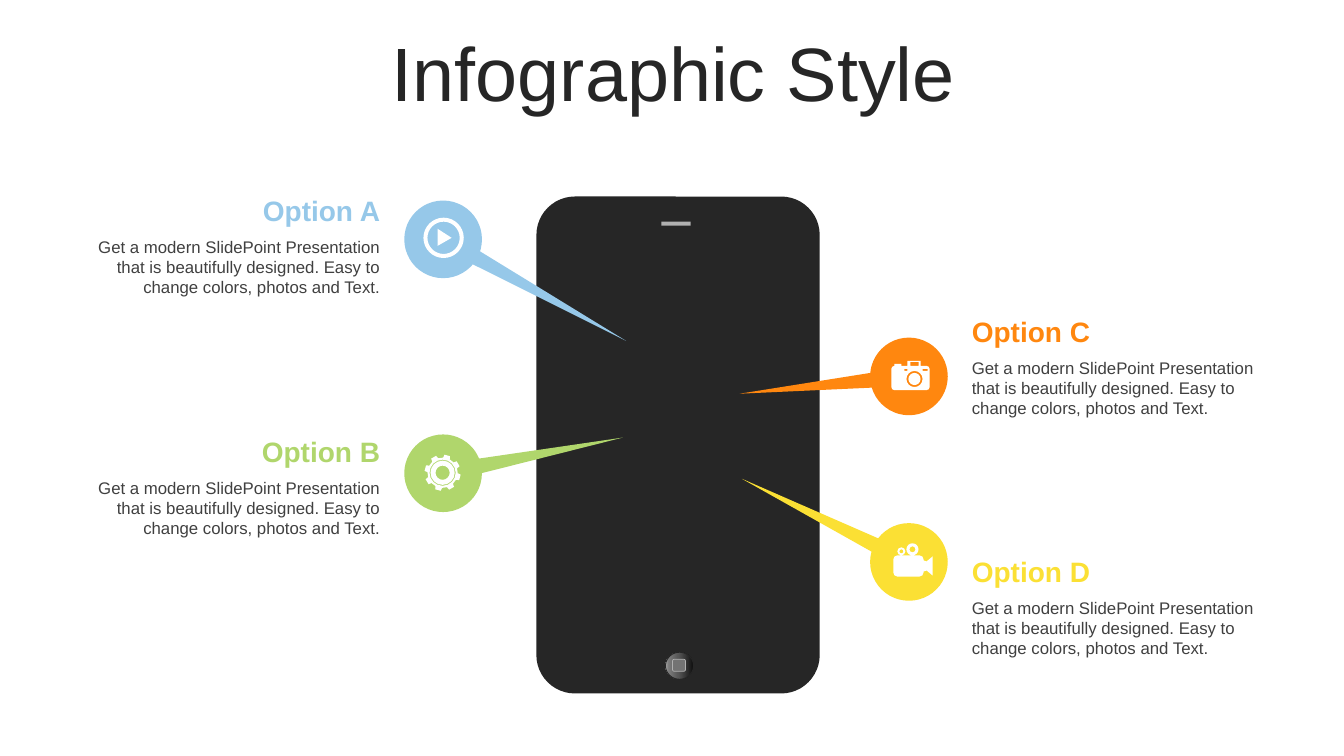
from math import cos, radians, sin

from lxml.etree import SubElement
from pptx import Presentation
from pptx.dml.color import RGBColor
from pptx.enum.shapes import MSO_SHAPE
from pptx.enum.text import MSO_ANCHOR, MSO_AUTO_SIZE, PP_ALIGN
from pptx.oxml.ns import qn
from pptx.util import Inches, Pt

WHITE = RGBColor(0xFF, 0xFF, 0xFF)
DARK = RGBColor(0x26, 0x26, 0x26)
BODY_GRAY = RGBColor(0x40, 0x40, 0x40)
SILVER = RGBColor(0xB0, 0xB0, 0xB0)
BUTTON_GRAY = RGBColor(0x73, 0x73, 0x73)
BLUE = RGBColor(0x96, 0xC8, 0xE9)
GREEN = RGBColor(0xB0, 0xD6, 0x6C)
ORANGE = RGBColor(0xFF, 0x87, 0x0F)
YELLOW = RGBColor(0xFB, 0xE0, 0x34)
KAPPA = 0.55


# Outlines for the icons, in inches from the icon's top left corner.
# An outline is a list of segments: one point for a line, three for a curve.
def polygon(*points):
    return [[point] for point in points]


def quarter(x, y, radius, dx, dy):
    """Curve clockwise from direction (dx, dy) to direction (-dy, dx)."""
    steps = [(1, KAPPA), (KAPPA, 1), (0, 1)]
    return [(x + radius * (a * dx - b * dy), y + radius * (a * dy + b * dx)) for a, b in steps]


def circle(x, y, radius):
    turns = [(1, 0), (0, 1), (-1, 0), (0, -1)]
    return [[(x + radius, y)]] + [quarter(x, y, radius, *turn) for turn in turns]


def box(x, y, width, height):
    return polygon((x, y), (x + width, y), (x + width, y + height), (x, y + height))


def round_box(x, y, width, height, radius):
    left, right, top, bottom = x + radius, x + width - radius, y + radius, y + height - radius
    corners = [(right, bottom, 1, 0), (left, bottom, 0, 1), (left, top, -1, 0), (right, top, 0, -1)]
    outline = []
    for cx, cy, dx, dy in corners:
        outline += [[(cx + radius * dx, cy + radius * dy)], quarter(cx, cy, radius, dx, dy)]
    return outline


def cog(x, y, root, tip, teeth, first):
    profile = [(-13, root), (-9, tip), (9, tip), (13, root)]
    return polygon(*[(x + r * cos(radians(first + k * 360 / teeth + a)),
                      y + r * sin(radians(first + k * 360 / teeth + a)))
                     for k in range(teeth) for a, r in profile])


# Content
TITLE = "Infographic Style"
DESCRIPTION = ("Get a modern SlidePoint Presentation that is beautifully designed. "
               "Easy to change colors, photos and Text.")

PLAY = [circle(0.2, 0.2, 0.2), circle(0.2, 0.2, 0.16),
        polygon((0.14, 0.11), (0.28, 0.2), (0.14, 0.28))]
GEAR = [cog(0.18, 0.18, 0.15, 0.18, 8, 15)] + [circle(0.18, 0.18, r) for r in (0.13, 0.12, 0.07)]
CAMERA = [round_box(0, 0.05, 0.38, 0.24, 0.03), box(0.03, 0.03, 0.07, 0.02),
          box(0.16, 0, 0.13, 0.05), box(0.19, 0.01, 0.08, 0.04),
          circle(0.23, 0.18, 0.08), circle(0.23, 0.18, 0.06),
          box(0.13, 0.08, 0.03, 0.02), box(0.31, 0.08, 0.05, 0.02)]
VIDEO = [round_box(0, 0.13, 0.3, 0.21, 0.04),
         circle(0.19, 0.07, 0.06), circle(0.19, 0.07, 0.03),
         circle(0.08, 0.09, 0.04), circle(0.08, 0.09, 0.02),
         polygon((0.3, 0.18), (0.33, 0.19), (0.39, 0.14), (0.39, 0.33), (0.33, 0.28), (0.3, 0.29))]

LEFT = {"text_left": 0.66, "text_width": 3.21, "bubble_left": 4.01, "align": PP_ALIGN.RIGHT}
RIGHT = {"text_left": 9.54, "text_width": 3.19, "bubble_left": 8.63, "align": PP_ALIGN.LEFT}

# label, colour, side, text top, bubble top, pointer tip, icon outlines, icon corner
OPTIONS = [
    ("Option A", BLUE, LEFT, 1.87, 1.99, (2.615, 0.653), PLAY, (4.2, 2.16)),
    ("Option B", GREEN, LEFT, 4.26, 4.31, (2.117, -1.043), GEAR, (4.21, 4.51)),
    ("Option C", ORANGE, RIGHT, 3.07, 3.35, (-2.05, 0.78), CAMERA, (8.84, 3.58)),
    ("Option D", YELLOW, RIGHT, 5.45, 5.19, (-2.356, -0.478), VIDEO, (8.86, 5.38)),
]
BUBBLE = 0.77
LABEL_HEIGHT, DESCRIPTION_HEIGHT = 0.43, 0.71

# kind, place, fill, line colour, line width, corner
PHONE = [
    (MSO_SHAPE.ROUNDED_RECTANGLE, (5.32, 1.95, 2.81, 4.93), DARK, None, 0, 0.136),
    (MSO_SHAPE.RECTANGLE, (6.56, 2.2, 0.29, 0.04), SILVER, None, 0, None),
    (MSO_SHAPE.OVAL, (6.6, 6.47, 0.28, 0.27),
     [(0, "0F0F0F"), (56, "595959"), (91, "808080"), (100, "BFBFBF")], DARK, 0, None),
    (MSO_SHAPE.ROUNDED_RECTANGLE, (6.67, 6.54, 0.13, 0.12), BUTTON_GRAY, SILVER, 0.5, None),
]

prs = Presentation()
prs.slide_width, prs.slide_height = Inches(13.33), Inches(7.5)
shapes = prs.slides.add_slide(prs.slide_layouts[6]).shapes


def paint(shape, fill, line=None, line_width=0):
    shape.shadow.inherit = False
    if isinstance(fill, list):
        shape.fill.gradient()
        shape.fill.gradient_angle = 180
        stops = shape._element.spPr.find(qn("a:gradFill")).find(qn("a:gsLst"))
        stops.clear()
        for position, color in fill:
            stop = SubElement(stops, qn("a:gs"), pos=str(position * 1000))
            SubElement(stop, qn("a:srgbClr"), val=color)
    else:
        shape.fill.solid()
        shape.fill.fore_color.rgb = fill
    if line is None:
        shape.line.fill.background()
    else:
        shape.line.color.rgb = line
        shape.line.width = Pt(line_width)


def add_text(place, text, color, frame_format, paragraph_format, font_format):
    frame = shapes.add_textbox(*map(Inches, place)).text_frame
    paragraph = frame.paragraphs[0]
    run = paragraph.add_run()
    run.text = text
    run.font.color.rgb = color
    for target, values in ((frame, {"word_wrap": True, **frame_format}),
                           (paragraph, paragraph_format),
                           (run.font, {"name": "Arial", **font_format})):
        for key, value in values.items():
            setattr(target, key, value)


def add_icon(outlines, corner):
    builder = None
    for outline in outlines:
        start, *rest = [(Inches(corner[0] + x), Inches(corner[1] + y))
                        for segment in outline for x, y in segment]
        if builder is None:
            builder = shapes.build_freeform(*start)
        else:
            builder.move_to(*start)
        builder.add_line_segments(rest, close=True)
    icon = builder.convert_to_shape()
    paint(icon, WHITE)

    # Join the three points of each curve into one Bezier segment
    lines = iter(list(icon._element.spPr.iter(qn("a:lnTo"))))
    for segment in (segment for outline in outlines for segment in outline[1:]):
        first, *others = [next(lines) for _ in segment]
        if others:
            first.tag = qn("a:cubicBezTo")
        for other in others:
            first.append(other[0])
            other.getparent().remove(other)


# Phone
for kind, place, fill, line, line_width, corner in PHONE:
    part = shapes.add_shape(kind, *map(Inches, place))
    paint(part, fill, line, line_width)
    if corner is not None:
        part.adjustments[0] = corner

# Title
add_text((0.35, 0.37, 12.66, 0.79), TITLE, DARK, {"vertical_anchor": MSO_ANCHOR.MIDDLE},
         {"alignment": PP_ALIGN.CENTER, "line_spacing": 0.9}, {"size": Pt(54)})

# Bubbles
for _, color, side, _, top, tip, _, _ in OPTIONS:
    bubble = shapes.add_shape(MSO_SHAPE.OVAL_CALLOUT, Inches(side["bubble_left"]),
                              Inches(top), Inches(BUBBLE), Inches(BUBBLE))
    bubble.rotation = 15
    bubble.adjustments[0], bubble.adjustments[1] = tip
    paint(bubble, color)

# Labels and descriptions
for label, color, side, text_top, *_ in OPTIONS:
    for text, text_color, top, height, font_format in (
            (label, color, text_top, LABEL_HEIGHT, {"size": Pt(20), "bold": True}),
            (DESCRIPTION, BODY_GRAY, text_top + LABEL_HEIGHT, DESCRIPTION_HEIGHT, {"size": Pt(12)})):
        add_text((side["text_left"], top, side["text_width"], height), text, text_color,
                 {"auto_size": MSO_AUTO_SIZE.SHAPE_TO_FIT_TEXT},
                 {"alignment": side["align"]}, font_format)

# Icons
for *_, outlines, corner in OPTIONS:
    add_icon(outlines, corner)

prs.save("out.pptx")
